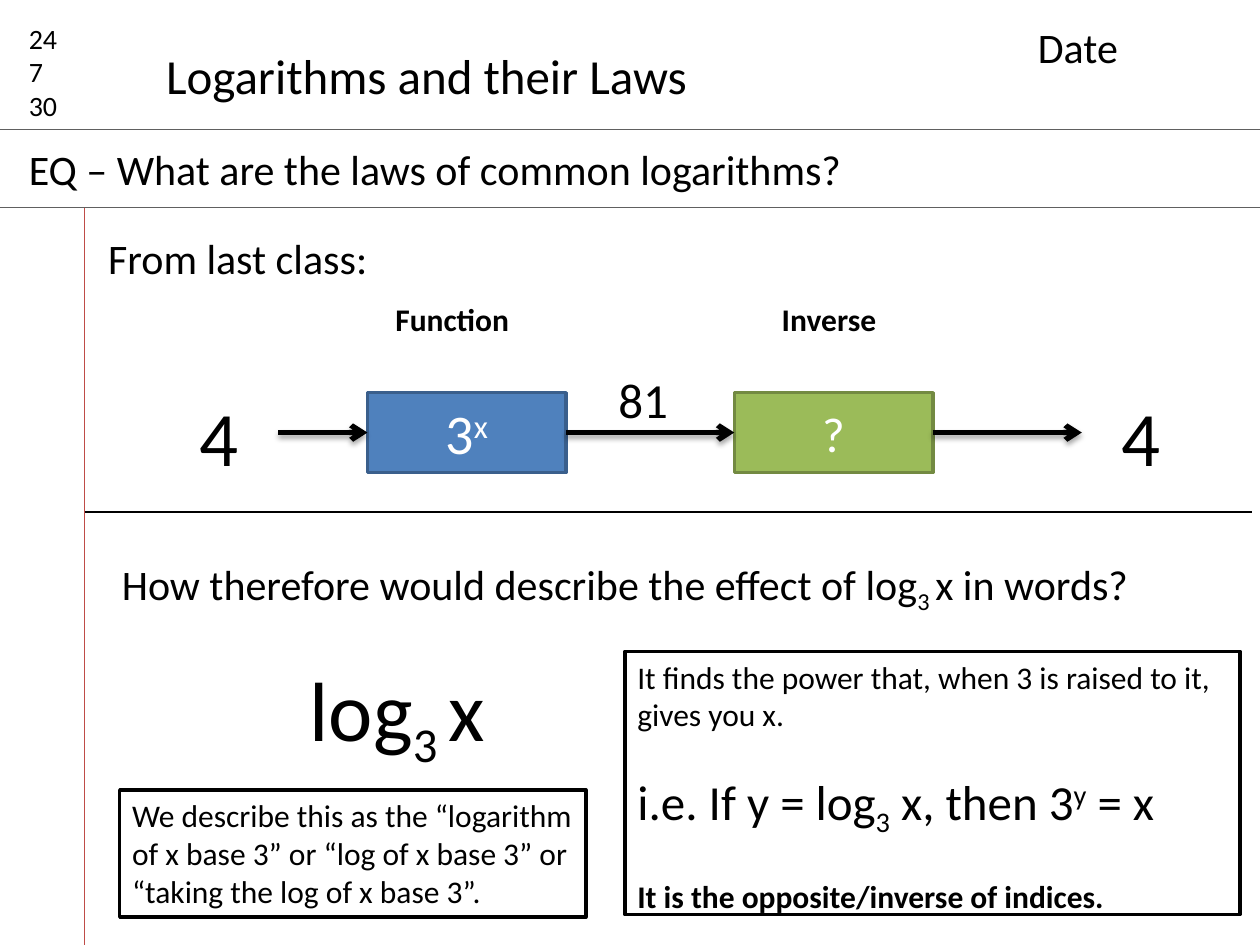
from lxml.etree import SubElement
from pptx import Presentation
from pptx.dml.color import RGBColor
from pptx.enum.shapes import MSO_CONNECTOR, MSO_SHAPE
from pptx.enum.text import MSO_ANCHOR, PP_ALIGN
from pptx.oxml.ns import qn
from pptx.util import Pt

FONT = "Calibri"
WIDTH, HEIGHT = 720, 540
COLORS = {
    "black": "000000", "white": "FFFFFF", "rule": "606060", "margin": "BF4C48",
    "blue": "4F81BD", "blue edge": "3A5F8C", "green": "9BBB59", "green edge": "738A42",
}
SUB, SUPER = -25000, 30000
BLANK_LINE = 22

# A paragraph is (size, bold, space before, runs); a run is (text, baseline)
def plain(text, size, bold=False, before=0):
    return size, bold, before, [(text, 0)]


# Labels: left, top, width, height, centred, paragraphs
LABELS = [
    (9.4, 8.6, 45.4, 65.5, False, [plain(number, 16) for number in ("24", "7", "30")]),
    (87.8, 22.3, 315.4, 41, False, [plain("Logarithms and their Laws", 28)]),
    (586, 8.6, 124.6, 36, False, [plain("Date", 24)]),
    (9.4, 78.5, 679, 36, False, [plain("EQ – What are the laws of common logarithms?", 24)]),
    (54.7, 129.6, 430.6, 36, False, [plain("From last class:", 24)]),
    (210.2, 167.8, 96.5, 28.8, True, [plain("Function", 18, True)]),
    (425.5, 167.8, 96.5, 28.8, True, [plain("Inverse", 18, True)]),
    (74.2, 218.9, 102.2, 60.5, True, [plain("4", 44)]),
    (601.2, 218.9, 102.2, 60.5, True, [plain("4", 44)]),
    (346.3, 207.4, 45.4, 41, False, [plain("81", 28)]),
    (62.6, 315.4, 623.5, 36, False, [(24, False, 0, [
        ("How therefore would describe the effect of log", 0), ("3 ", SUB), ("x in words?", 0)])]),
    (169.9, 372.2, 130.3, 65.5, False, [(48, False, 0, [("log", 0), ("3 ", SUB), ("x", 0)])]),
]

# Notes: left, top, width, height, paragraphs
NOTES = [
    (357.1, 372.2, 351.4, 150.5, [
        plain("It finds the power that, when 3 is raised to it, gives you x.", 18),
        (28, False, BLANK_LINE, [("i.e. If y = log", 0), ("3", SUB), (" x, then 3", 0),
                                 ("y", SUPER), (" = x", 0)]),
        plain("It is the opposite/inverse of indices.", 18, True, BLANK_LINE)]),
    (68.4, 451.4, 266.4, 72.7, [
        plain("We describe this as the “logarithm of x base 3” or “log of x base 3” or "
              "“taking the log of x base 3”.", 18)]),
]

# Function machines: left, fill, edge, paragraph
MACHINES = [
    (210.0, "blue", "blue edge", (32, False, 0, [("3", 0), ("x", SUPER)])),
    (419.6, "green", "green edge", plain("?", 28)),
]
MACHINE_TOP, MACHINE_WIDTH, MACHINE_HEIGHT = 224.4, 113.4, 45.6
FLOW_START, FLOW_END = 159, 618.2

# Page rules: x1, y1, x2, y2, colour
RULES = [
    (0, 74, WIDTH, 74, "rule"),
    (0, 118.6, WIDTH, 118.6, "rule"),
    (48.4, 118.6, 48.4, HEIGHT, "margin"),
    (48.4, 292.6, 715.2, 292.6, "black"),
]


def rgb(name):
    return RGBColor.from_string(COLORS[name])


def write(shape, paragraphs, color="black", centred=False, anchor=MSO_ANCHOR.TOP):
    frame = shape.text_frame
    frame.word_wrap = True
    frame.vertical_anchor = anchor
    for index, (size, bold, before, runs) in enumerate(paragraphs):
        paragraph = frame.add_paragraph() if index else frame.paragraphs[0]
        paragraph.alignment = PP_ALIGN.CENTER if centred else PP_ALIGN.LEFT
        if before:
            paragraph.space_before = Pt(before)
        for text, baseline in runs:
            run = paragraph.add_run()
            run.text = text
            run.font.name, run.font.size, run.font.bold = FONT, Pt(size), bold
            run.font.color.rgb = rgb(color)
            if baseline:
                run.font._element.set("baseline", str(baseline))


def add_box(slide, left, top, width, height, fill, edge):
    shape = slide.shapes.add_shape(MSO_SHAPE.RECTANGLE, Pt(left), Pt(top), Pt(width), Pt(height))
    shape.shadow.inherit = False
    shape.fill.solid()
    shape.fill.fore_color.rgb = rgb(fill)
    shape.line.color.rgb = rgb(edge)
    shape.line.width = Pt(2)
    return shape


def add_line(slide, x1, y1, x2, y2, color, weight):
    line = slide.shapes.add_connector(MSO_CONNECTOR.STRAIGHT, Pt(x1), Pt(y1), Pt(x2), Pt(y2))
    line.line.color.rgb = rgb(color)
    line.line.width = Pt(weight)
    effects = SubElement(line._element.spPr, qn("a:effectLst"))
    return line, effects


def add_arrow(slide, x1, x2, y, source, target):
    arrow, effects = add_line(slide, x1, y, x2, y, "black", 3)
    SubElement(arrow.line._get_or_add_ln(), qn("a:tailEnd"), type="arrow")
    shadow = SubElement(effects, qn("a:outerShdw"), blurRad=str(Pt(3.1)), dist=str(Pt(1.8)),
                        dir="5400000", rotWithShape="0")
    shade = SubElement(shadow, qn("a:srgbClr"), val=COLORS["black"])
    SubElement(shade, qn("a:alpha"), val="35000")
    if source is not None:
        arrow.begin_connect(source, 3)
    if target is not None:
        arrow.end_connect(target, 1)


def main():
    presentation = Presentation()
    presentation.slide_width, presentation.slide_height = Pt(WIDTH), Pt(HEIGHT)
    slide = presentation.slides.add_slide(presentation.slide_layouts[6])

    # Page rules
    for rule in RULES:
        add_line(slide, *rule, 0.75)

    # Function machines
    machines = []
    for left, fill, edge, paragraph in MACHINES:
        machine = add_box(slide, left, MACHINE_TOP, MACHINE_WIDTH, MACHINE_HEIGHT, fill, edge)
        write(machine, [paragraph], "white", True, MSO_ANCHOR.MIDDLE)
        machines.append(machine)

    # Arrows into, between and out of the machines
    lefts = [machine[0] for machine in MACHINES]
    starts = [FLOW_START] + [left + MACHINE_WIDTH for left in lefts]
    ends = lefts + [FLOW_END]
    middle = MACHINE_TOP + MACHINE_HEIGHT / 2
    for start, end, source, target in zip(starts, ends, [None] + machines, machines + [None]):
        add_arrow(slide, start, end, middle, source, target)

    # Labels
    for left, top, width, height, centred, paragraphs in LABELS:
        label = slide.shapes.add_textbox(Pt(left), Pt(top), Pt(width), Pt(height))
        write(label, paragraphs, centred=centred)

    # Framed notes
    for left, top, width, height, paragraphs in NOTES:
        write(add_box(slide, left, top, width, height, "white", "black"), paragraphs)

    presentation.save("out.pptx")


if __name__ == "__main__":
    main()
